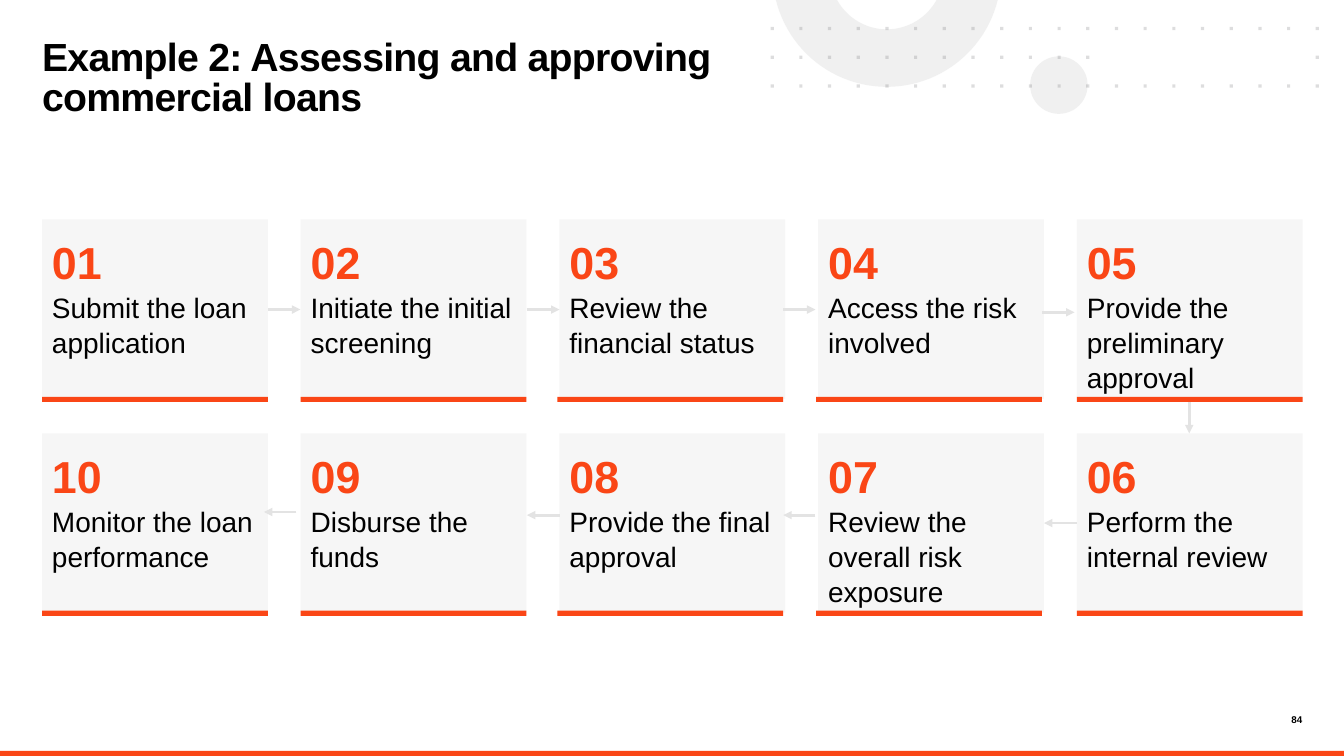
"""Build the slide on assessing and approving commercial loans."""
from dataclasses import dataclass
from math import asin, cos, pi, sin
from typing import Any

from lxml import etree
from pptx import Presentation
from pptx import util as u
from pptx.dml import color
from pptx.enum import shapes, text
from pptx.oxml import ns

HUES = {"accent": "FA4616", "card": "F6F6F6", "pale": "E3E3E3",
        "dot": "58595B", "ink": "000000"}
LEFT, TOP, STEP, DROP = 1.06, 5.53, 6.52, 5.39
WIDE, HIGH = 5.69, 4.52

TITLE = {"name": "Arial", "size": u.Pt(28), "bold": True}
COUNT = {"name": "Arial", "size": u.Pt(32), "bold": True}
LABEL = {"name": "Arial", "size": u.Pt(20), "bold": False}
PAGE = {"name": "Arial", "size": u.Pt(7), "bold": True}
FLUSH = {"margin_left": 0, "margin_right": 0, "margin_top": 0,
         "margin_bottom": 0, "word_wrap": True,
         "auto_size": text.MSO_AUTO_SIZE.NONE,
         "vertical_anchor": text.MSO_ANCHOR.TOP}
INSET = FLUSH | {"margin_left": u.Cm(0.25), "margin_right": u.Cm(0.25),
                 "margin_top": u.Cm(0.32)}


@dataclass
class Card:
    num: str
    label: str
    col: int
    row: int


@dataclass
class Arrow:
    x1: float
    y1: float
    x2: float
    y2: float


LABELS = ["Submit the loan application", "Initiate the initial screening",
          "Review the financial status", "Access the risk involved",
          "Provide the preliminary approval", "Perform the internal review",
          "Review the overall risk exposure", "Provide the final approval",
          "Disburse the funds", "Monitor the loan performance"]
CARDS = [Card(f"{i + 1:02}", label, min(i, 9 - i), i // 5)
         for i, label in enumerate(LABELS)]
ARROWS = [Arrow(6.76, 7.8, 7.57, 7.8), Arrow(13.28, 7.8, 14.1, 7.8),
          Arrow(19.74, 7.8, 20.55, 7.8), Arrow(26.26, 7.87, 27.08, 7.87),
          Arrow(29.97, 10.06, 29.97, 10.92),
          Arrow(27.13, 13.18, 26.31, 13.18),
          Arrow(20.55, 12.98, 19.74, 12.98),
          Arrow(14.1, 12.98, 13.28, 12.98), Arrow(7.47, 12.9, 6.65, 12.9)]


def apply(item: Any, form: dict[str, Any]) -> None:
    """Set each format value on the item."""
    for key, val in form.items():
        setattr(item, key, val)


def tint(hue: str) -> color.RGBColor:
    """Give the named colour."""
    return color.RGBColor.from_string(HUES[hue])


def paint(shape: Any, hue: str, alpha: int = 100) -> None:
    """Fill a shape flat, with no line or shadow."""
    shape.shadow.inherit = False
    shape.fill.solid()
    shape.fill.fore_color.rgb = tint(hue)
    shape.line.fill.background()
    if alpha < 100:
        node = next(shape.element.iter(ns.qn("a:srgbClr")))
        etree.SubElement(node, ns.qn("a:alpha"), val=str(alpha * 1000))


def block(slide: Any, kind: Any, box: tuple, hue: str, alpha: int = 100) -> Any:
    """Add a filled preset shape."""
    shape = slide.shapes.add_shape(kind, *map(u.Cm, box))
    paint(shape, hue, alpha)
    return shape


def write(para: Any, words: str, form: dict[str, Any], hue: str) -> Any:
    """Add a formatted run to a paragraph."""
    run = para.add_run()
    run.text = words
    apply(run.font, form)
    run.font.color.rgb = tint(hue)
    return run


def trace(slide: Any, rings: list[list[tuple]], hue: str, alpha: int) -> None:
    """Draw closed outlines as one freeform."""
    rings = [[(u.Cm(x), u.Cm(y)) for x, y in ring] for ring in rings]
    form = slide.shapes.build_freeform(*rings[0][0])
    form.add_line_segments(rings[0][1:], close=True)
    for ring in rings[1:]:
        form.move_to(*ring[0])
        form.add_line_segments(ring[1:], close=True)
    paint(form.convert_to_shape(), hue, alpha)


def arc(rad: float, parts: int = 48) -> list[tuple]:
    """List the points of the ring's edge below the slide top."""
    mid, rise = 22.35, 0.69
    low = asin(rise / rad)
    turns = [low + (pi - 2 * low) * i / parts for i in range(parts + 1)]
    return [(mid + rad * cos(t), rad * sin(t) - rise) for t in turns]


def adorn(slide: Any) -> None:
    """Draw the circles, dots and foot bar."""
    block(slide, shapes.MSO_SHAPE.RECTANGLE, (0, 18.92, 33.87, 0.13), "accent")
    block(slide, shapes.MSO_SHAPE.OVAL, (25.96, 1.42, 1.45, 1.45), "pale", 50)
    trace(slide, [arc(2.88) + arc(1.43)[::-1]], "pale", 50)
    side, gap = 0.08, 0.723
    spots = [(19.42 + gap * col, 0.68 + gap * row)
             for row in range(3) for col in range(20)
             if row != 1 or col < 12 or col == 19]
    trace(slide, [[(x, y), (x + side, y), (x + side, y + side), (x, y + side)]
                  for x, y in spots], "dot", 20)


def place(slide: Any, card: Card) -> None:
    """Draw a card with its number and label."""
    box = (LEFT + STEP * card.col, TOP + DROP * card.row, WIDE, HIGH)
    frame = block(slide, shapes.MSO_SHAPE.RECTANGLE, box, "card").text_frame
    apply(frame, INSET)
    lines = [(card.num, COUNT, "accent"), (card.label, LABEL, "ink")]
    paras = [frame.paragraphs[0], frame.add_paragraph()]
    for para, line in zip(paras, lines):
        apply(para, {"alignment": text.PP_ALIGN.LEFT, "line_spacing": 1.05})
        write(para, *line)


def link(slide: Any, arrow: Arrow) -> None:
    """Draw an arrow between cards."""
    ends = map(u.Cm, (arrow.x1, arrow.y1, arrow.x2, arrow.y2))
    line = slide.shapes.add_connector(shapes.MSO_CONNECTOR.STRAIGHT, *ends)
    line.line.color.rgb = tint("pale")
    line.line.width = u.Pt(2)
    node = next(line.element.iter(ns.qn("a:ln")))
    etree.SubElement(node, ns.qn("a:tailEnd"), type="triangle")
    etree.SubElement(line.element.spPr, ns.qn("a:effectLst"))


def bar(slide: Any, card: Card) -> None:
    """Draw the accent bar under a card."""
    shift = 0.05 if card.col in (2, 3) else 0
    box = (LEFT + STEP * card.col - shift, 10 + DROP * card.row, WIDE, 0.13)
    block(slide, shapes.MSO_SHAPE.RECTANGLE, box, "accent")


def head(slide: Any) -> None:
    """Fill the title and the page number."""
    title = slide.shapes.title
    apply(title, {"left": u.Cm(1.06), "top": u.Cm(0.99),
                  "width": u.Cm(18.36), "height": u.Cm(1.91)})
    page = slide.shapes.add_textbox(*map(u.Cm, (31.83, 17.98, 0.99, 0.33)))
    for shape in (title, page):
        apply(shape.text_frame, FLUSH)
    para = title.text_frame.paragraphs[0]
    apply(para, {"alignment": text.PP_ALIGN.LEFT, "line_spacing": 0.85,
                 "space_before": 0})
    words = "Example 2: Assessing and approving commercial loans"
    run = write(para, words, TITLE, "ink")
    run.font._element.set("spc", "-50")
    para = page.text_frame.paragraphs[0]
    para.alignment = text.PP_ALIGN.RIGHT
    write(para, "84", PAGE, "ink")


def main() -> None:
    """Build and save the slide."""
    deck = Presentation()
    apply(deck, {"slide_width": u.Cm(33.87), "slide_height": u.Cm(19.05)})
    slide = deck.slides.add_slide(deck.slide_layouts[5])
    adorn(slide)
    head(slide)
    for draw, items in ((place, CARDS), (link, ARROWS), (bar, CARDS)):
        for item in items:
            draw(slide, item)
    deck.save("out.pptx")


if __name__ == "__main__":
    main()
